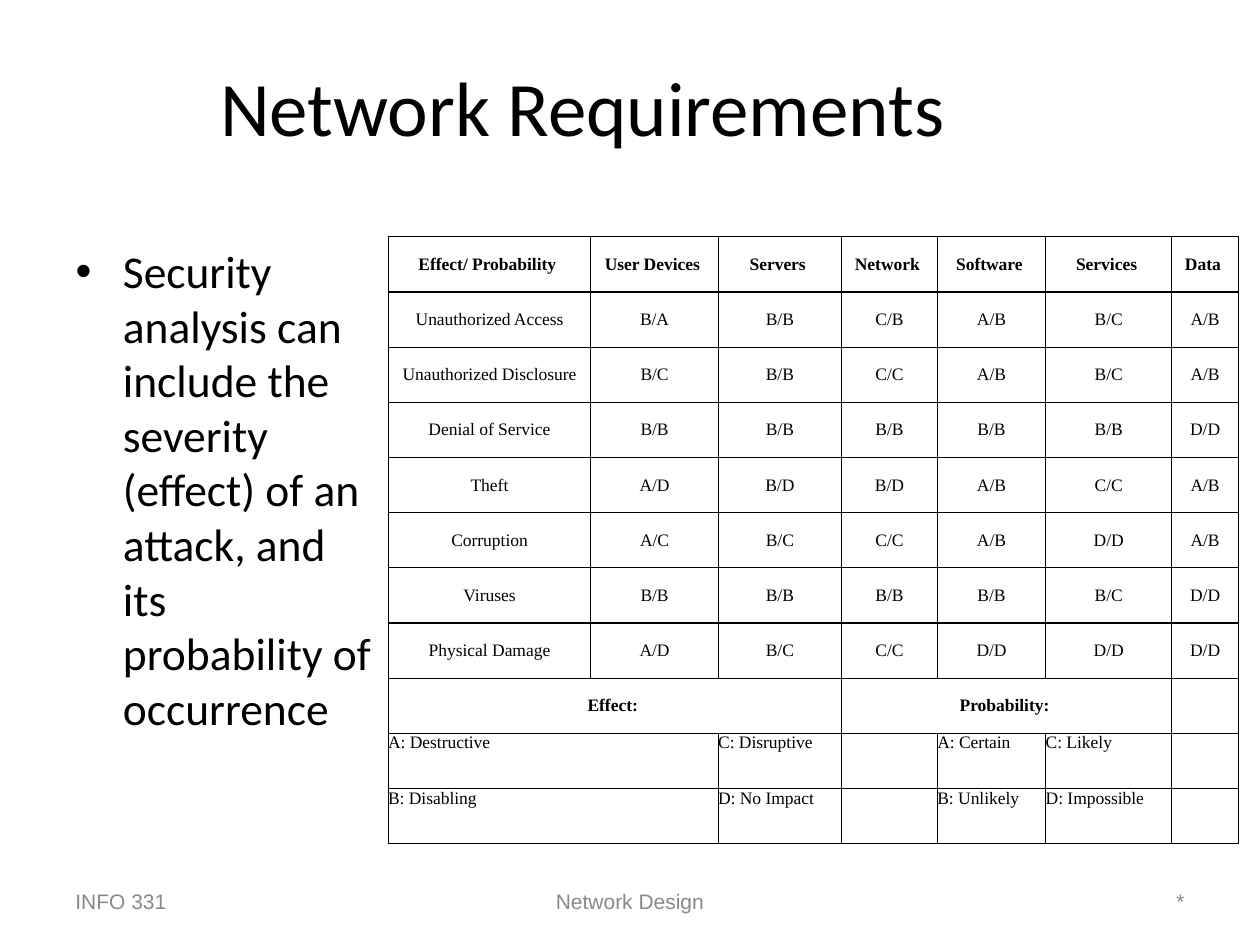
from lxml.etree import SubElement
from pptx import Presentation
from pptx.dml.color import RGBColor
from pptx.enum.text import MSO_ANCHOR, MSO_AUTO_SIZE, PP_ALIGN
from pptx.oxml.ns import qn
from pptx.util import Pt

COLORS = {"text": "000000", "border": "000000", "footer": "898989"}
HANGING = 27

COLUMN_WIDTHS = [115.92, 72.72, 70.56, 54.72, 61.92, 72, 38.16]
TABLE_HEIGHT = 347.04
RATINGS = [
    ["Effect/ Probability ", "User Devices ", "Servers ", "Network ", "Software ", "Services ", "Data "],
    ["Unauthorized Access", "B/A", "B/B", "C/B", "A/B", "B/C", "A/B"],
    ["Unauthorized Disclosure", "B/C", "B/B", "C/C", "A/B", "B/C", "A/B"],
    ["Denial of Service", "B/B", "B/B", "B/B", "B/B", "B/B", "D/D"],
    ["Theft", "A/D", "B/D", "B/D", "A/B", "C/C", "A/B"],
    ["Corruption", "A/C", "B/C", "C/C", "A/B", "D/D", "A/B"],
    ["Viruses", "B/B", "B/B", "B/B", "B/B", "B/C", "D/D"],
    ["Physical Damage", "A/D", "B/C", "C/C", "D/D", "D/D", "D/D"],
]
LEGEND = [
    ["Effect: ", "", "", "Probability: ", "", "", ""],
    ["A: Destructive", "", "C: Disruptive", "", "A: Certain", "C: Likely", ""],
    ["B: Disabling", "", "D: No Impact", "", "B: Unlikely", "D: Impossible", ""],
]


def write_text(frame, text, size, font, color="text", bold=False,
               align=PP_ALIGN.LEFT, hanging=0, bullet=None):
    paragraph = frame.paragraphs[0]
    paragraph.alignment = align
    properties = paragraph._p.get_or_add_pPr()
    if hanging:
        properties.set("marL", str(Pt(hanging)))
        properties.set("indent", str(-Pt(hanging)))
    if bullet:
        SubElement(properties, qn("a:buFont"), typeface="Arial")
        SubElement(properties, qn("a:buChar"), char=bullet)
    run = paragraph.add_run()
    run.text = text
    run.font.size = Pt(size)
    run.font.name = font
    run.font.bold = bold
    run.font.color.rgb = RGBColor.from_string(COLORS[color])


def fill_placeholder(placeholder, box, text, anchor, **text_format):
    placeholder.left, placeholder.top, placeholder.width, placeholder.height = map(Pt, box)
    frame = placeholder.text_frame
    frame.auto_size = MSO_AUTO_SIZE.NONE
    frame.vertical_anchor = anchor
    write_text(frame, text, font="Calibri", **text_format)


def add_footer(slide, left, width, text, align):
    frame = slide.shapes.add_textbox(Pt(left), Pt(500.4), Pt(width), Pt(28.8)).text_frame
    frame.word_wrap = True
    frame.vertical_anchor = MSO_ANCHOR.MIDDLE
    write_text(frame, text, size=12, font="Arial", color="footer", align=align)


def outline_cell(cell):
    """Give the cell four thin borders and no fill."""
    properties = cell._tc.get_or_add_tcPr()
    for side in ("a:lnL", "a:lnR", "a:lnT", "a:lnB"):
        line = SubElement(properties, qn(side), w=str(Pt(0.75)))
        solid = SubElement(line, qn("a:solidFill"))
        SubElement(solid, qn("a:srgbClr"), val=COLORS["border"])
    cell.fill.background()


def write_cell(cell, text, bold, centered):
    cell.margin_left = cell.margin_right = cell.margin_top = cell.margin_bottom = 0
    cell.vertical_anchor = MSO_ANCHOR.MIDDLE if centered else MSO_ANCHOR.TOP
    write_text(cell.text_frame, text, size=10, font="Times New Roman", bold=bold,
               align=PP_ALIGN.CENTER if centered else PP_ALIGN.LEFT, hanging=HANGING)


def add_security_table(slide):
    rows = RATINGS + LEGEND
    table = slide.shapes.add_table(
        len(rows), len(COLUMN_WIDTHS), Pt(221.76), Pt(135.36),
        Pt(sum(COLUMN_WIDTHS)), Pt(TABLE_HEIGHT)).table
    table.first_row = table.horz_banding = False
    for column, width in zip(table.columns, COLUMN_WIDTHS):
        column.width = Pt(width)

    legend_row = len(RATINGS)
    for row, first, last in [(legend_row, 0, 2), (legend_row, 3, 5),
                             (legend_row + 1, 0, 1), (legend_row + 2, 0, 1)]:
        table.cell(row, first).merge(table.cell(row, last))

    for row, texts in enumerate(rows):
        table.rows[row].height = Pt(TABLE_HEIGHT / len(rows))
        for column, text in enumerate(texts):
            cell = table.cell(row, column)
            outline_cell(cell)
            if text:
                write_cell(cell, text, bold=row in (0, legend_row),
                           centered=row <= legend_row)


def main():
    presentation = Presentation()
    presentation.slide_width, presentation.slide_height = Pt(720), Pt(540)
    slide = presentation.slides.add_slide(presentation.slide_layouts[1])
    title, body = slide.placeholders
    fill_placeholder(title, (36, 9.36, 594, 102.24), "Network Requirements",
                     MSO_ANCHOR.MIDDLE, size=44, align=PP_ALIGN.CENTER)
    fill_placeholder(body, (36, 135.36, 185.76, 347.04),
                     "Security analysis can include the severity (effect) of an attack, "
                     "and its probability of occurrence",
                     MSO_ANCHOR.TOP, size=26, hanging=HANGING, bullet="•")
    add_security_table(slide)
    add_footer(slide, 36, 168, "INFO 331", PP_ALIGN.LEFT)
    add_footer(slide, 246, 228, "Network Design", PP_ALIGN.CENTER)
    add_footer(slide, 516, 168, "*", PP_ALIGN.RIGHT)
    presentation.save("out.pptx")


if __name__ == "__main__":
    main()
